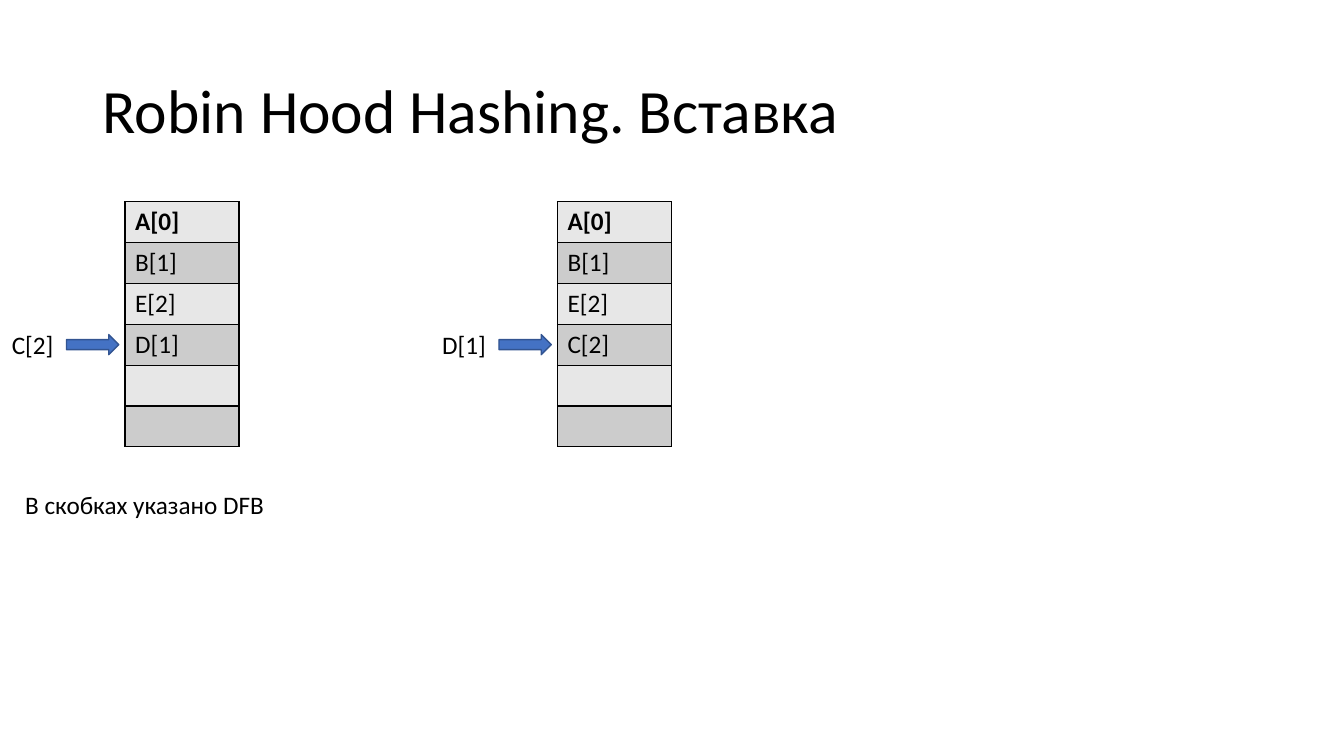
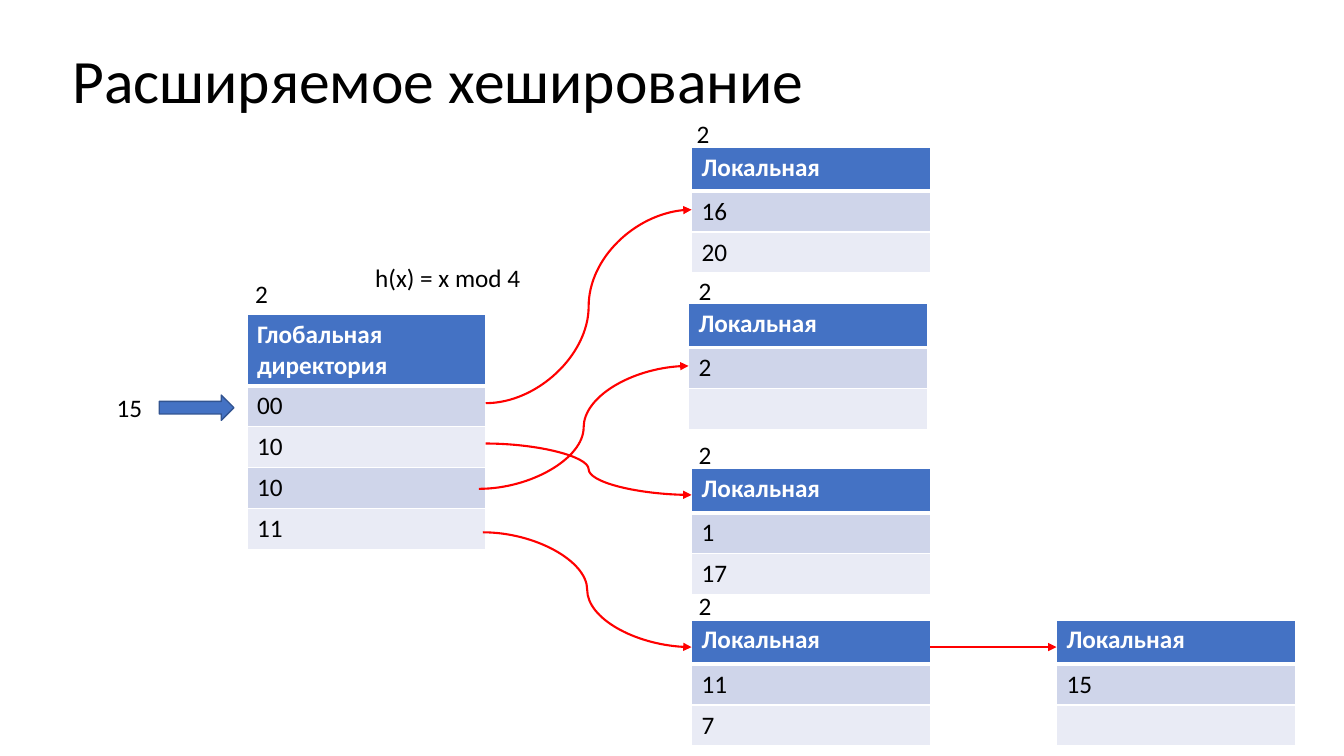
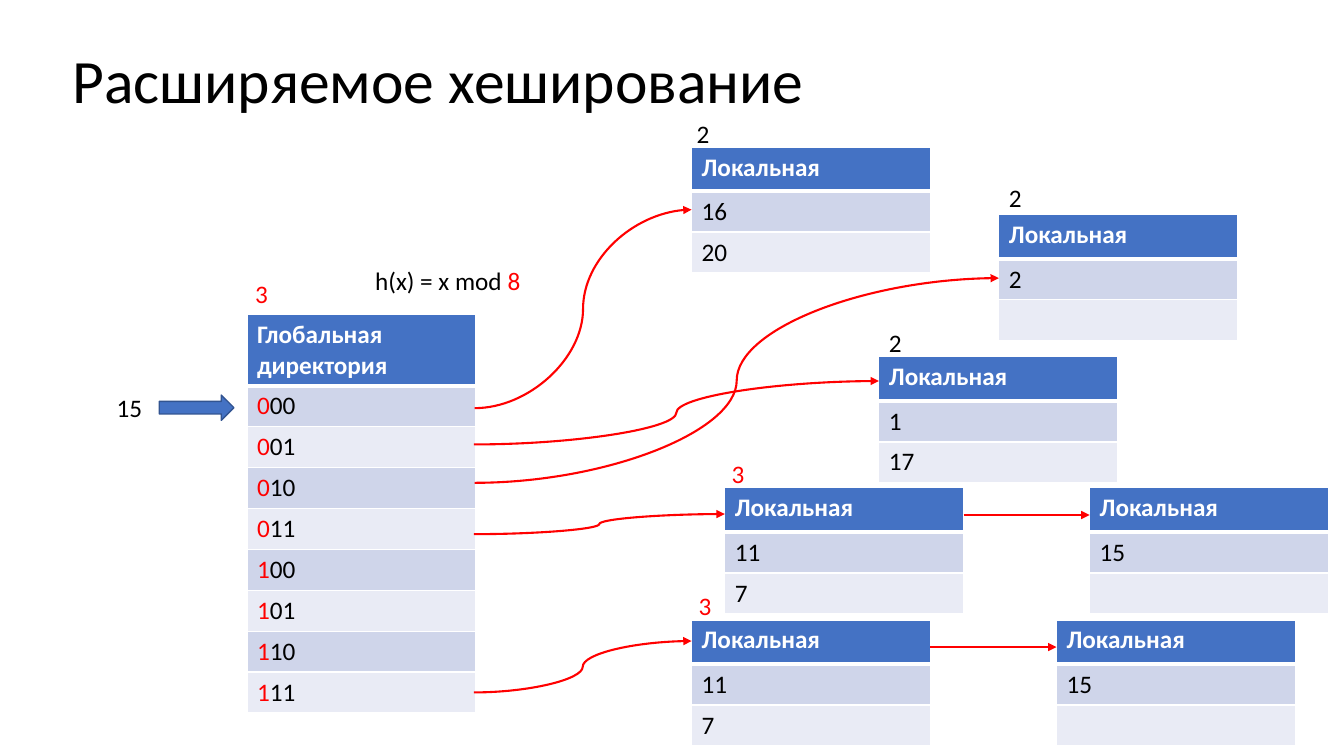
import dataclasses

import pptx
import pptx.dml.color
import pptx.enum.shapes
import pptx.enum.text
import pptx.oxml
import pptx.oxml.ns
import pptx.util

Pt = pptx.util.Pt
Shape = pptx.enum.shapes.MSO_SHAPE
Link = pptx.enum.shapes.MSO_CONNECTOR
Align = pptx.enum.text.PP_ALIGN
Anchor = pptx.enum.text.MSO_ANCHOR


@dataclasses.dataclass(frozen=True)
class Theme:
    font: str = "Calibri"
    head: float = 44
    body: float = 18
    ink: str = "000000"
    paper: str = "FFFFFF"
    blue: str = "4472C4"
    edge: str = "325491"
    red: str = "FF0000"
    grays: tuple = ("E7E7E7", "CCCCCC")
    tints: tuple = ("CFD5EA", "E9EBF5")
    row: float = 29.2
    bucket: float = 170.6


@dataclasses.dataclass(frozen=True)
class Bucket:
    """A local table, its depth tag and the wire that enters its left side."""
    x: float
    y: float
    values: tuple
    depth: object
    start: tuple
    drop: float
    tag: tuple = (5, -21)
    spill: tuple = ()


T = Theme()


def color(code):
    return pptx.dml.color.RGBColor.from_string(code)


def write(frame, text, size=T.body, ink=T.ink, bold=False, align=Align.LEFT,
          spacing=None):
    """Write text: a string, or a tuple of strings and (string, colour) pairs."""
    para = frame.paragraphs[0]
    para.alignment = align
    if spacing:
        para.line_spacing = spacing
    for part in (text,) if isinstance(text, str) else text:
        word, tone = (part, ink) if isinstance(part, str) else part
        run = para.add_run()
        run.text = word
        run.font.name = T.font
        run.font.size = Pt(size)
        run.font.bold = bold
        run.font.color.rgb = color(tone)


def label(slide, x, y, w, h, text, anchor=Anchor.TOP, **style):
    frame = slide.shapes.add_textbox(Pt(x), Pt(y), Pt(w), Pt(h)).text_frame
    frame.margin_left = frame.margin_right = 0
    frame.margin_top = frame.margin_bottom = 0
    frame.word_wrap = True
    frame.vertical_anchor = anchor
    write(frame, text, **style)


def title(slide, x, y, text):
    label(slide, x, y, 813, 97, text, anchor=Anchor.MIDDLE, size=T.head,
          spacing=0.9)


def border(cell, tone, **widths):
    """Draw the four sides; widths overrides the 1 pt line of a side."""
    props = cell._tc.get_or_add_tcPr()
    space = pptx.oxml.ns.nsdecls("a")
    for side in "LRTB":
        props.append(pptx.oxml.parse_xml(
            f'<a:ln{side} {space} w="{Pt(widths.get(side, 1))}">'
            f'<a:solidFill><a:srgbClr val="{tone}"/></a:solidFill>'
            f'</a:ln{side}>'))


def table(slide, x, y, w, texts, bands, line, head=None, top=T.row):
    """Place a one-column table; head is the fill of a coloured header row."""
    tall = top + T.row * (len(texts) - 1)
    grid = slide.shapes.add_table(len(texts), 1, Pt(x), Pt(y), Pt(w),
                                  Pt(tall)).table
    grid.first_row = grid.horz_banding = False
    grid.columns[0].width = Pt(w)
    for i, text in enumerate(texts):
        grid.rows[i].height = Pt(T.row if i else top)
        cell = grid.cell(i, 0)
        sides = {0: {"B": 3}, 1: {"T": 3}}.get(i, {}) if head else {}
        border(cell, line, **sides)
        cell.fill.solid()
        first = head and i == 0
        cell.fill.fore_color.rgb = color(
            head if first else bands[(i - bool(head)) % 2])
        if text:
            write(cell.text_frame, text, ink=T.paper if first else T.ink,
                  bold=i == 0)


def feed(slide, x, y, w, h, text, gap):
    """Place a block arrow with its input text on the left."""
    arrow = slide.shapes.add_shape(Shape.RIGHT_ARROW, Pt(x), Pt(y), Pt(w), Pt(h))
    arrow.shadow.inherit = False
    arrow.fill.solid()
    arrow.fill.fore_color.rgb = color(T.blue)
    arrow.line.color.rgb = color(T.edge)
    arrow.line.width = Pt(1)
    label(slide, x - gap - 36, y + h / 2 - 11, 36, 22, text, align=Align.RIGHT)


def wire(slide, x1, y1, x2, y2, kind=Link.CURVE, width=1.5):
    link = slide.shapes.add_connector(kind, Pt(x1), Pt(y1), Pt(x2), Pt(y2))
    link.line.color.rgb = color(T.red)
    link.line.width = Pt(width)
    space = pptx.oxml.ns.nsdecls("a")
    link.line._get_or_add_ln().append(
        pptx.oxml.parse_xml(f'<a:tailEnd {space} type="triangle"/>'))
    link._element.spPr.append(pptx.oxml.parse_xml(f"<a:effectLst {space}/>"))


def slots(slide, x, y, texts, item):
    """Place a hash table and the item that is tried at its fourth slot."""
    table(slide, x, y, 81.4, texts, T.grays, T.ink)
    feed(slide, x - 41.8, y + 95, 37.4, 14.4, item, 9.3)


def local(slide, x, y, values):
    table(slide, x, y, T.bucket, ("Локальная", *values), T.tints, T.paper,
          head=T.blue, top=31.6)


def bucket(slide, b):
    local(slide, b.x, b.y, b.values)
    dx, dy = b.tag
    label(slide, b.x + dx, b.y + dy, 14, 22, (b.depth,))
    if b.spill:
        local(slide, b.x + T.bucket + 90, b.y, b.spill)
        wire(slide, b.x + T.bucket, b.y + 19.4, b.x + T.bucket + 90,
             b.y + 19.4, Link.STRAIGHT, 1.75)


def index(slide, x, y, w, codes, depth):
    """Place the global directory with its depth and the incoming key."""
    table(slide, x, y, w, ("Глобальная директория", *codes), T.tints, T.paper,
          head=T.blue, top=51.1)
    label(slide, x + 5.8, y - 26, 14, 22, (depth,))
    feed(slide, x - 62.6, y + 57.6, 53.3, 18, "15", 12.2)


def robin(slide):
    title(slide, 73.4, 32.4, "Robin Hood Hashing. Вставка")
    for x, last, item in ((89.3, "D[1]", "C[2]"), (398.2, "C[2]", "D[1]")):
        slots(slide, x, 144, ("A[0]", "B[1]", "E[2]", last, "", ""), item)
    label(slide, 18, 349.2, 190, 22, "В скобках указано DFB")


def hashing(slide, width, codes, depth, rule, rise, buckets):
    title(slide, 51.8, 11.5, "Расширяемое хеширование")
    index(slide, 176.4, 224.6, width, codes, depth)
    label(slide, 268, rise, 120, 22, rule)
    for b in buckets:
        bucket(slide, b)
    for b in buckets:
        wire(slide, *b.start, b.x, b.y + b.drop)


def main():
    deck = pptx.Presentation()
    deck.slide_width, deck.slide_height = Pt(960), Pt(540)
    first, second, third = (
        deck.slides.add_slide(deck.slide_layouts[6]) for _ in range(3))

    robin(first)

    hashing(second, 170.6, ("00", "10", "10", "11"), "2", "h(x) = x mod 4",
            187.2, (
        Bucket(494, 105, ("16", "20"), "2", (347, 288), 44.8, (3.6, -20.4)),
        Bucket(491.8, 216.7, ("2", ""), "2", (342, 349.2), 44.7, (7.2, -20.2)),
        Bucket(494, 334.8, ("1", "17"), "2", (347, 316.8), 18.7),
        Bucket(494, 442.8, ("11", "7"), "2", (344.9, 380.2), 19.4,
               spill=("15", "")),
    ))

    codes = [((high, T.red), low) for high in "01"
             for low in ("00", "01", "10", "11")]
    three = ("3", T.red)
    hashing(third, 163.4, codes, three, ("h(x) = x mod ", ("8", T.red)),
            189.4, (
        Bucket(494, 105, ("16", "20"), "2", (339, 291.6), 44.8, (3.6, -20.4)),
        Bucket(627.8, 254.9, ("1", "17"), "2", (338.5, 317.5), 17.3, (7.2, -21)),
        Bucket(713.5, 153.4, ("2", ""), "2", (339, 344.9), 45.3, (7.2, -23)),
        Bucket(517.7, 348.5, ("11", "7"), three, (338.5, 381.6), 18.7,
               spill=("15", "")),
        Bucket(494, 442.8, ("11", "7"), three, (338.5, 494.6), 15.1,
               spill=("15", "")),
    ))
    deck.save("out.pptx")


if __name__ == "__main__":
    main()
